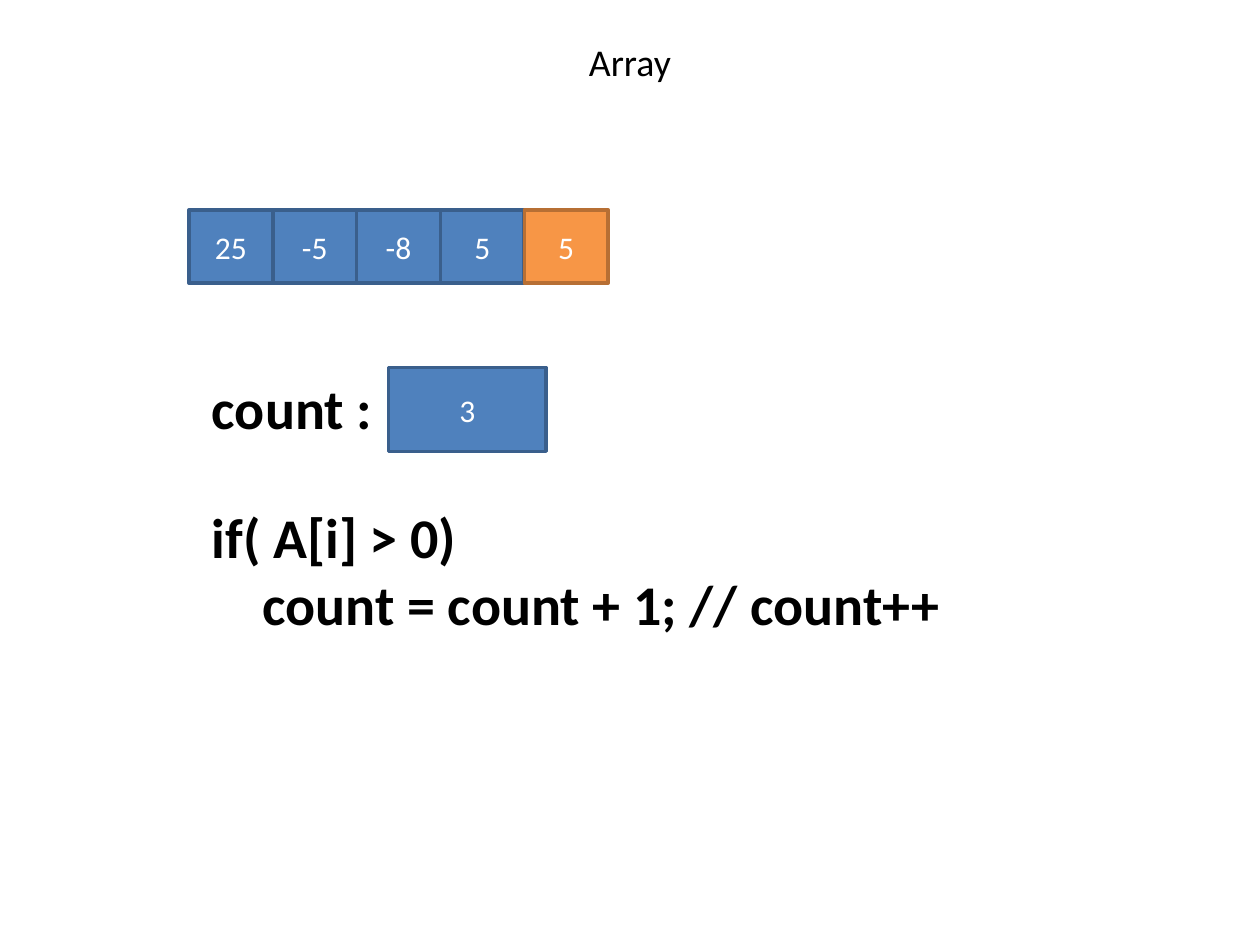
from dataclasses import dataclass

from pptx import Presentation
from pptx import util as u
from pptx.dml.color import RGBColor
from pptx.enum import shapes, text


@dataclass(frozen=True)
class Theme:
    font: str = "Calibri"
    ink: str = "000000"
    paper: str = "FFFFFF"
    blue: tuple = ("4F81BD", "3A5F8C")
    orange: tuple = ("F79646", "B76F34")
    title: float = 21.6
    value: float = 18
    code: float = 32
    border: float = 2


def write(p, content, *, font, size, color, bold=False, align=None, indent=0):
    p.alignment = align
    if indent:
        p._p.get_or_add_pPr().set("marL", str(u.Cm(indent)))
    r = p.add_run()
    r.text = content
    r.font.name = font
    r.font.size = u.Pt(size)
    r.font.bold = bold
    r.font.color.rgb = RGBColor.from_string(color)


class SlideBuilder:
    def __init__(self, s, theme):
        self.s = s
        self.theme = theme

    def title(self, content, x, y, w, h):
        tf = self.s.shapes.add_textbox(*map(u.Cm, (x, y, w, h))).text_frame
        tf.word_wrap = True
        tf.vertical_anchor = text.MSO_ANCHOR.MIDDLE
        write(tf.paragraphs[0], content, font=self.theme.font, size=self.theme.title,
              color=self.theme.ink, align=text.PP_ALIGN.CENTER)

    def box(self, value, x, y, w, h, colors):
        sp = self.s.shapes.add_shape(shapes.MSO_SHAPE.RECTANGLE, *map(u.Cm, (x, y, w, h)))
        fill, line = map(RGBColor.from_string, colors)
        sp.shadow.inherit = False
        sp.fill.solid()
        sp.fill.fore_color.rgb = fill
        sp.line.color.rgb = line
        sp.line.width = u.Pt(self.theme.border)
        tf = sp.text_frame
        tf.vertical_anchor = text.MSO_ANCHOR.MIDDLE
        write(tf.paragraphs[0], value, font=self.theme.font, size=self.theme.value,
              color=self.theme.paper, align=text.PP_ALIGN.CENTER)

    def array(self, values, x, y, w, h, current):
        for i, value in enumerate(values):
            colors = self.theme.orange if i == current else self.theme.blue
            self.box(value, x + i * w, y, w, h, colors)

    def code(self, lines, x, y, w, h):
        tf = self.s.shapes.add_textbox(*map(u.Cm, (x, y, w, h))).text_frame
        tf.word_wrap = False
        tf.auto_size = text.MSO_AUTO_SIZE.SHAPE_TO_FIT_TEXT
        for i, (line, indent) in enumerate(lines):
            p = tf.add_paragraph() if i else tf.paragraphs[0]
            write(p, line, font=self.theme.font, size=self.theme.code,
                  color=self.theme.ink, bold=True, indent=indent)


def main():
    prs = Presentation()
    prs.slide_width, prs.slide_height = u.Cm(25.4), u.Cm(19.05)
    theme = Theme()
    b = SlideBuilder(prs.slides.add_slide(prs.slide_layouts[6]), theme)
    b.title("Array", 1.27, 0.76, 22.86, 0.94)
    b.array(["25", "-5", "-8", "5", "5"], 3.81, 4.23, 1.69, 1.48, current=4)
    b.box("3", 7.83, 7.41, 3.18, 1.69, theme.blue)
    b.code([("count :", 0)], 4.02, 7.41, 3.78, 1.62)
    b.code([("if( A[i] > 0)", 0), ("count = count + 1; // count++", 1.02)],
           4.02, 10, 15.34, 3)
    prs.save("out.pptx")


if __name__ == "__main__":
    main()
